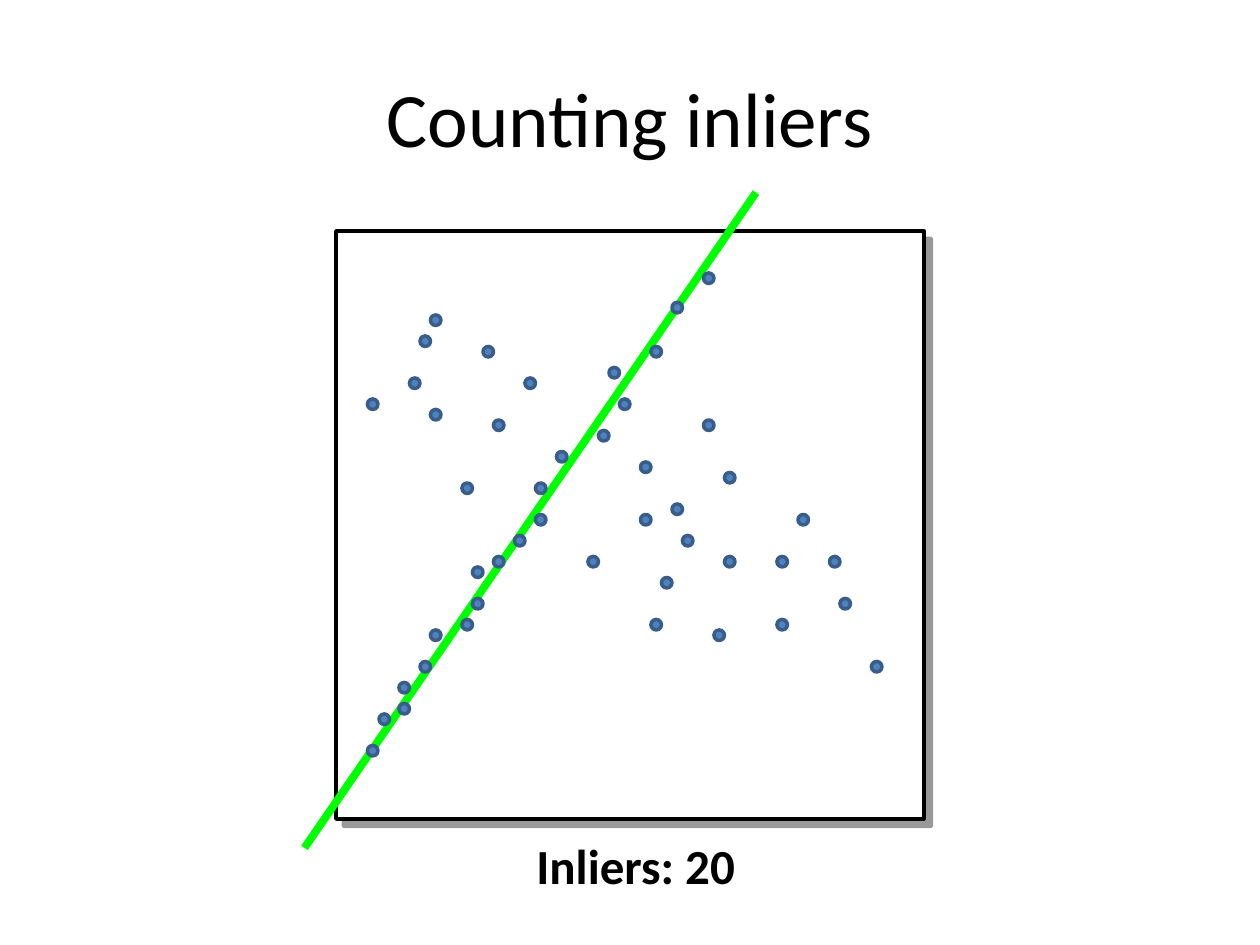
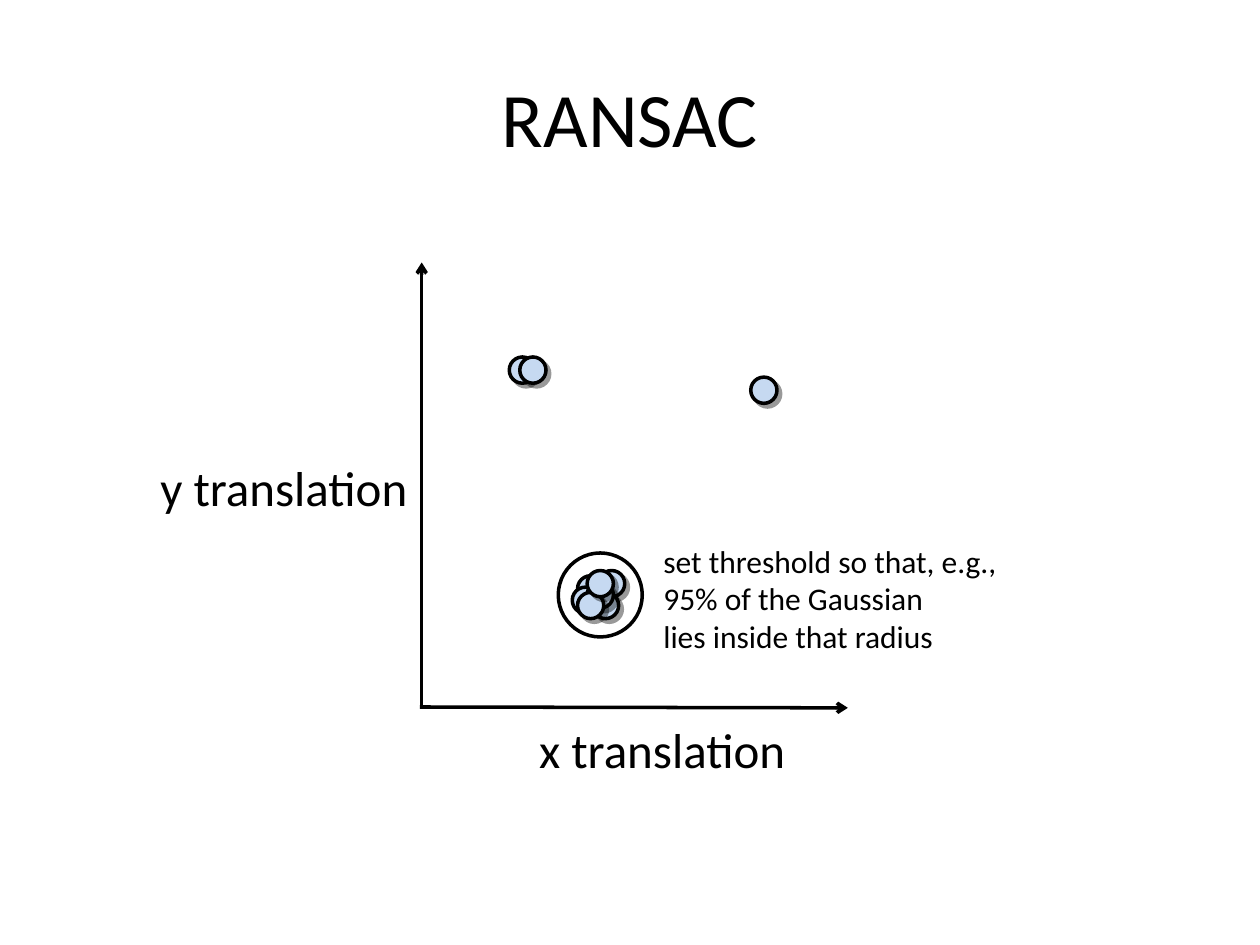
from pptx import Presentation
from pptx.dml.color import RGBColor
from pptx.enum.shapes import MSO_CONNECTOR, MSO_SHAPE
from pptx.enum.text import MSO_ANCHOR, MSO_AUTO_SIZE, PP_ALIGN
from pptx.oxml.ns import qn
from pptx.util import Pt
from lxml.etree import SubElement

# Shared style
FONT = "Calibri"
HUES = {"ink": "000000", "paper": "FFFFFF", "fit": "00FF00",
        "dot": "4F81BD", "rim": "385D8A", "vote": "C6D9F1"}

# Counting slide: dot corners in steps of a 6 pt grid
STEP = 6
INLIERS = [(45, 57), (47, 53), (41, 60), (44, 59), (40, 63), (38, 65), (36.1, 68),
           (35, 71), (38, 67), (45, 54), (49, 51), (51, 49), (51, 46), (53, 43),
           (57, 41), (59, 38), (58, 35), (62, 33), (64, 28.8), (67, 26)]
OUTLIERS = [(69, 53), (63, 55), (61, 49), (65, 51), (64, 48), (69, 45), (67, 40),
            (61, 44), (56, 53), (62, 59), (68, 60), (74, 59), (80, 57), (79, 53),
            (74, 53), (76, 49), (83, 63), (50, 36), (47, 40), (41, 39), (44, 46),
            (46, 33), (40, 32), (35, 38), (39, 36), (41, 30)]
FRAME = (192, 132, 336, 336)
FIT = (174, 484.5, 432, 110)

# RANSAC slide: vote corners in points
VOTES = [(330, 329), (342, 326), (327, 335.5), (291, 204), (297, 204),
         (338.5, 338.5), (335.5, 332.5), (330, 338.5), (335.5, 326), (429, 215.5)]
VOTE = 15
RADIUS = (319, 316, 48, 48)
AXES = [(241, 403.5, 241, 150), (240, 404, 484.5, 404.5)]
LABELS = [("x translation", (301, 407.5, 155.5, 41)),
          ("y translation", (84.5, 258, 156, 41))]
NOTE = ["set threshold so that, e.g., 95% of the Gaussian",
        "lies inside that radius"]


def hue(name):
    return RGBColor.from_string(HUES[name])


def add_page(deck, title):
    page = deck.slides.add_slide(deck.slide_layouts[5])
    head = page.shapes.title
    head.left, head.top, head.width, head.height = map(Pt, (36, 21.6, 648, 90))
    frame = head.text_frame
    frame.text = title
    frame.vertical_anchor = MSO_ANCHOR.MIDDLE
    line = frame.paragraphs[0]
    line.alignment = PP_ALIGN.CENTER
    set_font(line, 44)
    return page


def set_font(line, size, bold=False):
    font = line.font
    font.name, font.size, font.bold = FONT, Pt(size), bold
    font.color.rgb = hue("ink")


def add_text(page, lines, box, size, bold=False, wrap=False):
    frame = page.shapes.add_textbox(*map(Pt, box)).text_frame
    frame.word_wrap = wrap
    frame.auto_size = MSO_AUTO_SIZE.SHAPE_TO_FIT_TEXT
    frame.text = "\n".join(lines)
    for line in frame.paragraphs:
        set_font(line, size, bold)


def add_form(page, kind, box, fill=None, line="ink", drop=0):
    form = page.shapes.add_shape(kind, *map(Pt, box))
    form.shadow.inherit = False
    if fill:
        form.fill.solid()
        form.fill.fore_color.rgb = hue(fill)
    else:
        form.fill.background()
    form.line.color.rgb = hue(line)
    form.line.width = Pt(2)
    if drop:
        effects = form._element.spPr.find(qn("a:effectLst"))
        shade = SubElement(effects, qn("a:outerShdw"), blurRad="0",
                           dist=str(Pt(drop)), dir="2700000", algn="ctr",
                           rotWithShape="0")
        tint = SubElement(shade, qn("a:srgbClr"), val=HUES["ink"])
        SubElement(tint, qn("a:alpha"), val="40000")


def add_line(page, ends, color, width, arrow=False):
    line = page.shapes.add_connector(MSO_CONNECTOR.STRAIGHT, *map(Pt, ends))
    line.line.color.rgb = hue(color)
    line.line.width = Pt(width)
    if arrow:
        SubElement(line.line._get_or_add_ln(), qn("a:tailEnd"), type="arrow")
    SubElement(line._element.spPr, qn("a:effectLst"))


def draw_count(deck):
    page = add_page(deck, "Counting inliers")
    add_form(page, MSO_SHAPE.RECTANGLE, FRAME, "paper", drop=6)
    add_line(page, FIT, "fit", 4.5)
    for col, row in INLIERS + OUTLIERS:
        box = (col * STEP, row * STEP, STEP, STEP)
        add_form(page, MSO_SHAPE.OVAL, box, "dot", "rim")
    add_text(page, [f"Inliers: {len(INLIERS)}"], (299.5, 474, 128, 41), 28, bold=True)


def draw_votes(deck):
    page = add_page(deck, "RANSAC")
    for ends in AXES:
        add_line(page, ends, "ink", 2, arrow=True)
    for text, box in LABELS:
        add_text(page, [text], box, 28)
    for left, top in VOTES:
        add_form(page, MSO_SHAPE.OVAL, (left, top, VOTE, VOTE), "vote", drop=3)
    add_form(page, MSO_SHAPE.OVAL, RADIUS)
    add_text(page, NOTE, (372, 306, 222, 72), 18, wrap=True)


def main():
    deck = Presentation()
    deck.slide_width, deck.slide_height = Pt(720), Pt(540)
    draw_count(deck)
    draw_votes(deck)
    deck.save("out.pptx")


if __name__ == "__main__":
    main()
